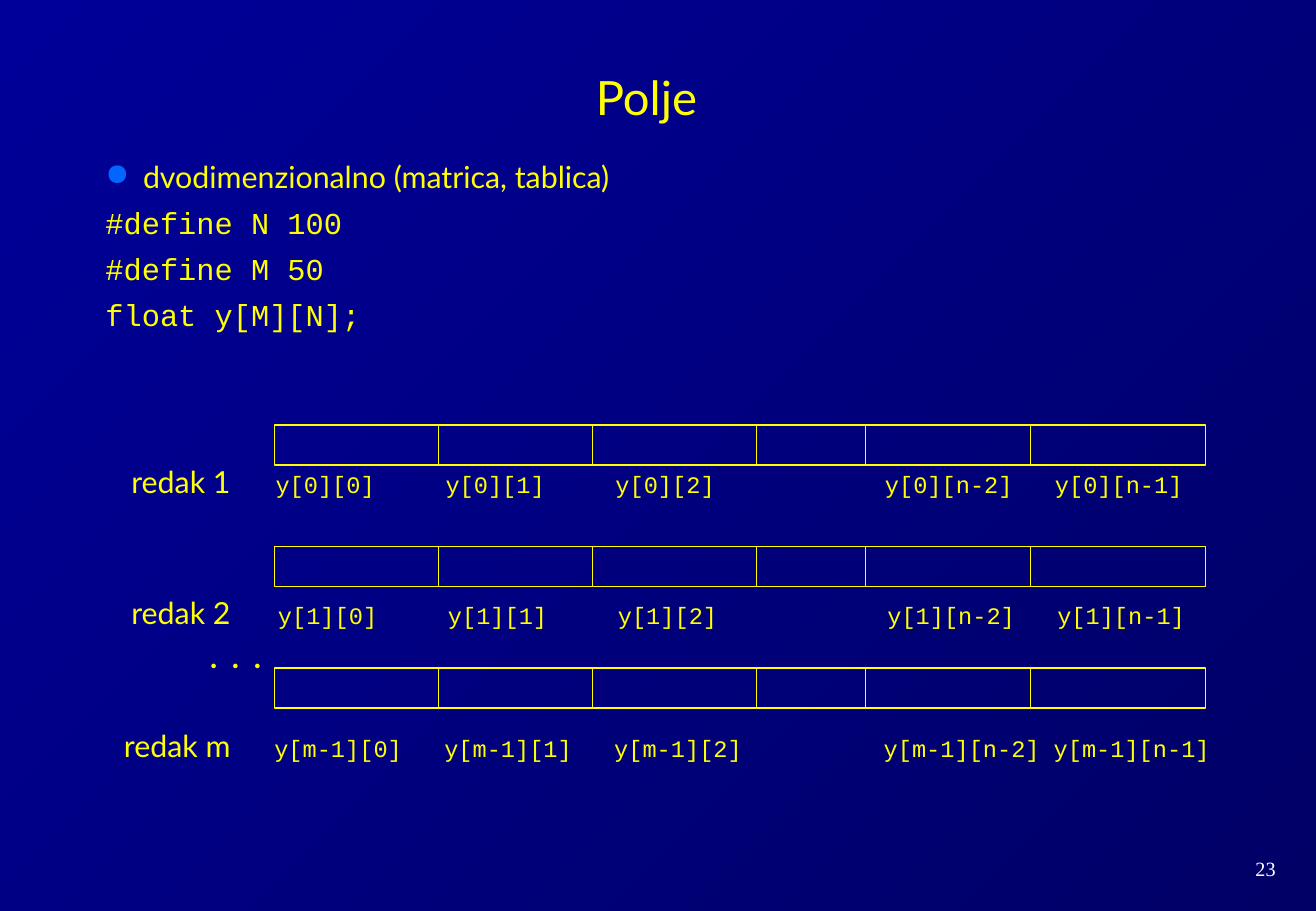
from lxml import etree
from pptx import Presentation
from pptx import util as u
from pptx.dml.color import RGBColor
from pptx.enum import shapes, text
from pptx.oxml.ns import qn

YELLOW = RGBColor(0xFF, 0xFF, 0x00)
WHITE = RGBColor(0xFF, 0xFF, 0xFF)
BULLET_BLUE = RGBColor(0x00, 0x66, 0xFF)
DARK_NAVY = RGBColor(0x00, 0x00, 0x66)
NAVY = RGBColor(0x00, 0x00, 0x99)
BODY, CODE, NUMBER = "Lato", "Courier New", "Times New Roman"


class ArraySlide:
    def __init__(self, prs):
        self.s = prs.slides.add_slide(prs.slide_layouts[6])

    def background(self, start, end, angle):
        fill = self.s.background.fill
        fill.gradient()
        fill.gradient_angle = angle
        for stop, color in zip(fill.gradient_stops, (start, end)):
            stop.color.rgb = color

    def box(self, x, y, w, h, anchor=text.MSO_ANCHOR.TOP, inset=True):
        tf = self.s.shapes.add_textbox(*map(u.Inches, (x, y, w, h))).text_frame
        tf.word_wrap = True
        tf.vertical_anchor = anchor
        if not inset:
            tf.margin_left = tf.margin_right = tf.margin_top = tf.margin_bottom = 0
        return tf

    def run(self, p, words, size, font=BODY, color=YELLOW, bold=False):
        r = p.add_run()
        r.text = words
        r.font.size, r.font.name, r.font.bold = u.Pt(size), font, bold
        r.font.color.rgb = color
        return r

    def indent(self, p, left, first):
        pPr = p._p.get_or_add_pPr()
        pPr.set("marL", str(u.Inches(left)))
        pPr.set("indent", str(u.Inches(first)))
        return pPr

    def bullet(self, p):
        pPr = self.indent(p, 0.81, -0.31)
        color = etree.SubElement(pPr, qn("a:buClr"))
        etree.SubElement(color, qn("a:srgbClr"), val=str(BULLET_BLUE))
        etree.SubElement(pPr, qn("a:buChar"), char="●")

    def tabs(self, p, stops):
        tab_list = etree.SubElement(p._p.get_or_add_pPr(), qn("a:tabLst"))
        for pos, align in stops:
            etree.SubElement(tab_list, qn("a:tab"), pos=str(u.Inches(pos)), algn=align)

    def frame(self, x, y, w, h):
        sp = self.s.shapes.add_shape(shapes.MSO_SHAPE.RECTANGLE,
                                     *map(u.Inches, (x, y, w, h)))
        sp.shadow.inherit = False
        sp.fill.background()
        self.stroke(sp)

    def divider(self, x, y, h):
        line = self.s.shapes.add_connector(shapes.MSO_CONNECTOR.STRAIGHT,
                                           *map(u.Inches, (x, y, x, y + h)))
        self.stroke(line)
        etree.SubElement(line._element.spPr, qn("a:effectLst"))

    def stroke(self, sp):
        sp.line.color.rgb = YELLOW
        sp.line.width = u.Pt(0.75)


def main():
    prs = Presentation()
    prs.slide_width, prs.slide_height = u.Inches(10.84), u.Inches(7.5)
    slide = ArraySlide(prs)
    slide.background(DARK_NAVY, NAVY, 135)

    # Title and slide number
    for words, place, anchor, size, font, color in (
            ("Polje", (0.54, 0.25, 9.57, 0.83), text.MSO_ANCHOR.BOTTOM, 28, BODY, YELLOW),
            ("23", (10.02, 7, 0.81, 0.3), text.MSO_ANCHOR.MIDDLE, 12, NUMBER, WHITE)):
        p = slide.box(*place, anchor).paragraphs[0]
        p.alignment = text.PP_ALIGN.CENTER
        slide.run(p, words, size, font, color)

    # Bullet and declarations
    tf = slide.box(0.27, 1.25, 10.56, 1.6)
    p = tf.paragraphs[0]
    slide.bullet(p)
    slide.run(p, "dvodimenzionalno (matrica, tablica)", 18)
    for code in ("#define N 100", "#define M 50", "float y[M][N];"):
        p = tf.add_paragraph()
        slide.indent(p, 0.5, 0)
        p.space_before = u.Pt(5.7)
        slide.run(p, code, 18, CODE)

    # Matrix rows: cells above, labels below
    label_left, label_end = 0.9, 1.9
    columns = (("0", 0), ("1", 1.4), ("2", 2.8), ("n-2", 5.02), ("n-1", 6.42))
    rows = (("1", "0", 3.5, 3.81, 2.27), ("2", "1", 4.5, 4.89, 2.29),
            ("m", "m-1", 5.5, 5.99, 2.26))
    for name, index, cell_top, label_top, first_x in rows:
        slide.frame(2.26, cell_top, 7.67, 0.33)
        for x in (3.61, 4.88, 6.23, 7.13, 8.49):
            slide.divider(x, cell_top, 0.33)
        p = slide.box(label_left, label_top, 9.5, 0.32, inset=False).paragraphs[0]
        stops = [(label_end - label_left, "r")]
        stops += [(first_x + dx - label_left, "l") for _, dx in columns]
        slide.tabs(p, stops)
        slide.run(p, f"\tredak {name}", 18)
        for column, _ in columns:
            slide.run(p, f"\ty[{index}][{column}]", 14, CODE)

    # Omitted rows
    p = slide.box(1.73, 5.25, 0.52, 0.32, inset=False).paragraphs[0]
    r = slide.run(p, ". . .", 18, bold=True)
    r.font._element.set("spc", "220")

    prs.save("out.pptx")


if __name__ == "__main__":
    main()
